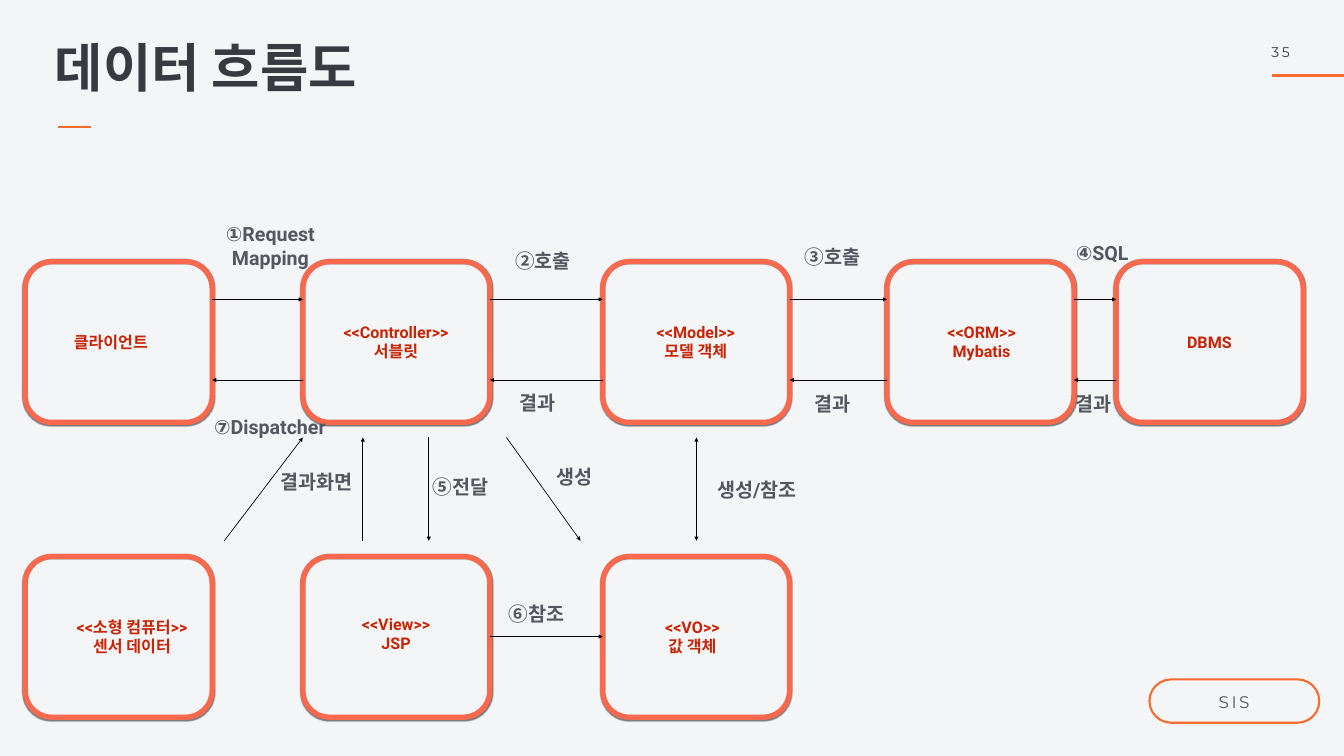
"""Build the data flow slide."""
from lxml import etree
from pptx import Presentation
from pptx.dml.color import RGBColor
from pptx.enum.shapes import MSO_CONNECTOR, MSO_SHAPE
from pptx.enum.text import MSO_ANCHOR, PP_ALIGN
from pptx.oxml.ns import qn
from pptx.util import Inches, Pt

LINE = MSO_CONNECTOR.STRAIGHT
ROUND = MSO_SHAPE.ROUNDED_RECTANGLE
TOP, MID = MSO_ANCHOR.TOP, MSO_ANCHOR.MIDDLE
LEFT, MID_X = PP_ALIGN.LEFT, PP_ALIGN.CENTER

HUE = {"bg": "F4F5F7", "ink": "393941", "accent": "F56C2E", "box": "FA694E",
       "node": "C82506", "label": "53585F", "arrow": "000000"}
BOX_W, BOX_H = 3.71, 3.19
COLS = [0.5, 6.01, 11.96, 17.6, 22.15]
ROWS = [5.19, 11.04]
SEND_Y, BACK_Y, VIEW_Y = 5.94, 7.54, 12.63
UP, DOWN = 8.68, 10.73

# column, row, text centre, lines
NODES = [
    (0, 0, (2.2, 6.78), ["클라이언트"]),
    (1, 0, (7.86, 6.78), ["<<Controller>>", "서블릿"]),
    (2, 0, (13.81, 6.78), ["<<Model>>", "모델 객체"]),
    (3, 0, (19.48, 6.78), ["<<ORM>>", "Mybatis"]),
    (4, 0, (24, 6.78), ["DBMS"]),
    (0, 1, (2.62, 12.63), ["<<소형 컴퓨터>>", "센서 데이터"]),
    (1, 1, (7.86, 12.57), ["<<View>>", "JSP"]),
    (2, 1, (13.74, 12.63), ["<<VO>>", "값 객체"]),
]
LABELS = [
    (4.29, 4.87, MID_X, ["①Request", "Mapping"]),
    (10.18, 5.17, LEFT, ["②호출"]),
    (15.93, 5.09, LEFT, ["③호출"]),
    (21.31, 5.02, LEFT, ["④SQL"]),
    (4.21, 8.46, LEFT, ["⑦Dispatcher"]),
    (10.26, 7.98, LEFT, ["결과"]),
    (16.12, 8, LEFT, ["결과"]),
    (21.31, 8, LEFT, ["결과"]),
    (5.52, 9.55, LEFT, ["결과화면"]),
    (8.55, 9.65, LEFT, ["⑤전달"]),
    (11.01, 9.45, LEFT, ["생성"]),
    (14.19, 9.71, LEFT, ["생성/참조"]),
    (10.06, 12.17, LEFT, ["⑥참조"]),
]
LINKS = [
    (4.45, DOWN, 6.01, UP), (7.2, DOWN, 7.2, UP), (8.51, UP, 8.51, DOWN),
    (10.05, UP, 11.52, DOWN),
    (COLS[1] + BOX_W, VIEW_Y, COLS[2], VIEW_Y),
]


def rgb(name):
    return RGBColor.from_string(HUE[name])


def add_line(slide, ends, hue, width, heads=()):
    line = slide.shapes.add_connector(LINE, *map(Inches, ends))
    line.line.color.rgb = rgb(hue)
    line.line.width = Pt(width)
    ln = line.line._get_or_add_ln()
    for end in heads:
        etree.SubElement(ln, qn(f"a:{end}"), type="triangle")
    etree.SubElement(line._element.spPr, qn("a:effectLst"))


def add_box(slide, area, hue, width):
    box = slide.shapes.add_shape(ROUND, *map(Inches, area))
    box.shadow.inherit = False
    box.fill.background()
    box.line.color.rgb = rgb(hue)
    box.line.width = Pt(width)
    return box


def add_shade(box):
    fx = box._element.spPr.find(qn("a:effectLst"))
    shade = etree.SubElement(fx, qn("a:outerShdw"), blurRad=str(Pt(1)),
                             dist=str(Pt(1)), dir="5400000", rotWithShape="0")
    tint = etree.SubElement(shade, qn("a:srgbClr"), val="000000")
    etree.SubElement(tint, qn("a:alpha"), val="50000")


def add_text(slide, area, lines, size, hue, font="Roboto", bold=True,
             align=MID_X, anchor=MID, pad=0.04, gap=0, lead=1.0):
    frame = slide.shapes.add_textbox(*map(Inches, area)).text_frame
    frame.word_wrap = True
    frame.vertical_anchor = anchor
    frame.margin_left = frame.margin_right = Inches(pad)
    frame.margin_top = frame.margin_bottom = Inches(pad)
    for i, line in enumerate(lines):
        para = frame.add_paragraph() if i else frame.paragraphs[0]
        para.alignment = align
        para.line_spacing = lead
        run = para.add_run()
        run.text = line
        run.font.name = font
        run.font.size = Pt(size)
        run.font.bold = bold
        run.font.color.rgb = rgb(hue)
        if gap:
            run.font._element.set("spc", str(int(gap * 100)))


def main():
    deck = Presentation()
    deck.slide_width, deck.slide_height = Inches(26.67), Inches(15)
    slide = deck.slides.add_slide(deck.slide_layouts[6])
    slide.background.fill.solid()
    slide.background.fill.fore_color.rgb = rgb("bg")

    add_line(slide, (25.24, 1.5, 26.67, 1.5), "accent", 4)
    add_text(slide, (25.19, 0.83, 0.66, 0.76), ["35"], 20, "ink", "Montserrat",
             False, LEFT, TOP, gap=4)
    add_line(slide, (1.15, 2.52, 1.81, 2.52), "accent", 4)
    add_text(slide, (1.06, 0.91, 10.37, 1.87), ["데이터 흐름도"], 75, "ink",
             "Montserrat", align=LEFT, anchor=TOP, pad=0.03, lead=0.8)

    for col, row, _, _ in NODES:
        add_shade(add_box(slide, (COLS[col], ROWS[row], BOX_W, BOX_H), "box", 7.5))
    for left, right in zip(COLS, COLS[1:]):
        edge = left + BOX_W
        add_line(slide, (edge, SEND_Y, right, SEND_Y), "arrow", 1, ["tailEnd"])
        add_line(slide, (right, BACK_Y, edge, BACK_Y), "arrow", 1, ["tailEnd"])
    for ends in LINKS:
        add_line(slide, ends, "arrow", 1, ["tailEnd"])
    add_line(slide, (13.82, UP, 13.82, DOWN), "arrow", 1, ["headEnd", "tailEnd"])

    for _, _, (x, y), lines in NODES:
        high = 0.08 + 0.39 * len(lines)
        add_text(slide, (x - 1.4, y - high / 2, 2.8, high), lines, 23, "node")
    for x, y, align, lines in LABELS:
        high = 0.04 + 0.48 * len(lines)
        add_text(slide, (x, y - high / 2, 2.4 if align == LEFT else 2.15, high),
                 lines, 28, "label", align=align)

    badge = add_box(slide, (22.81, 13.48, 3.37, 0.86), "accent", 3)
    badge.adjustments[0] = 0.5
    add_text(slide, (23.15, 13.67, 2.68, 0.49), ["SIS"], 24, "label",
             "Montserrat", False, gap=3.6)
    deck.save("out.pptx")


if __name__ == "__main__":
    main()
